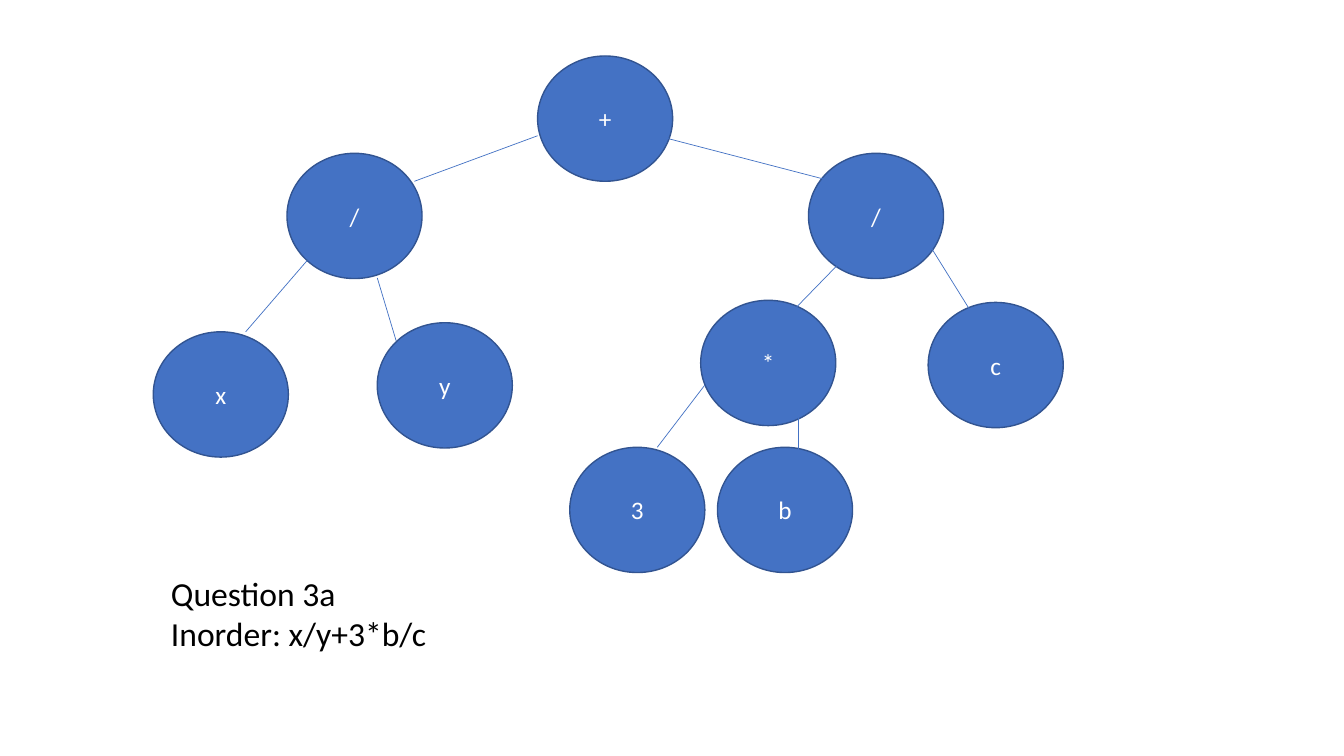
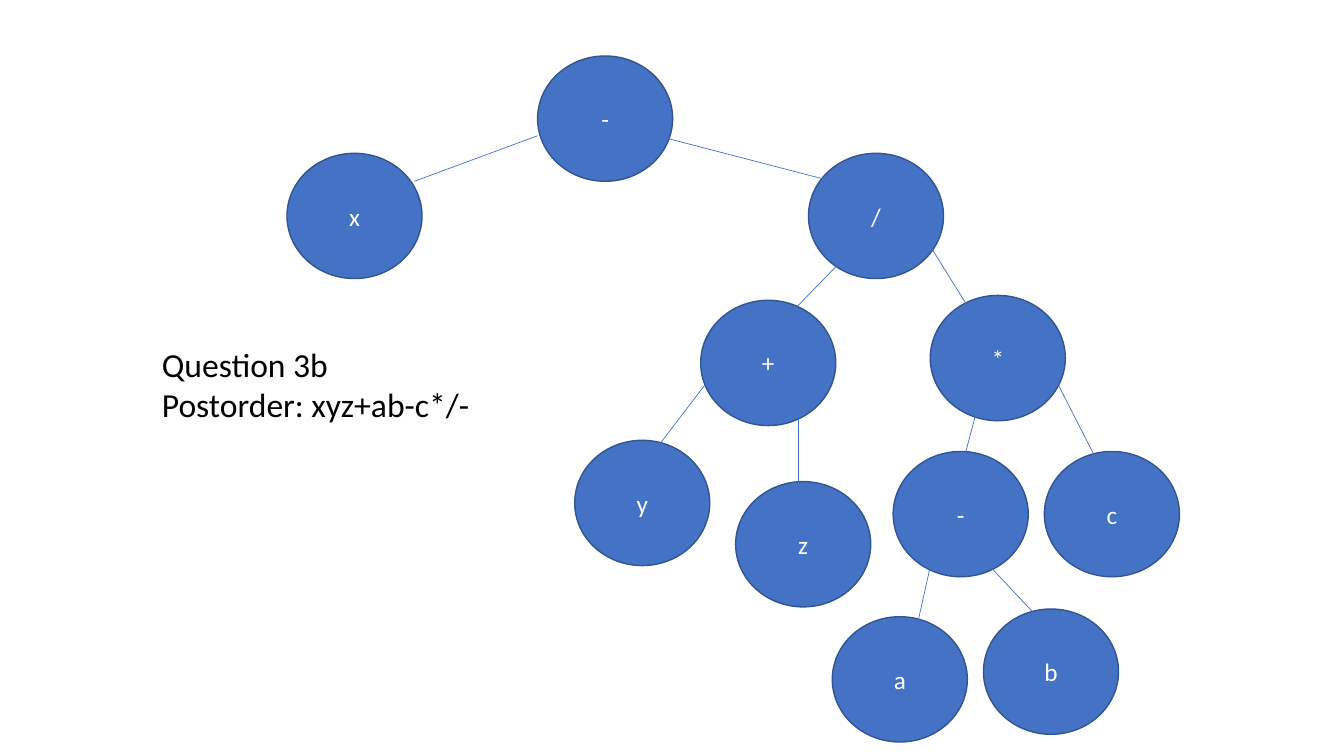
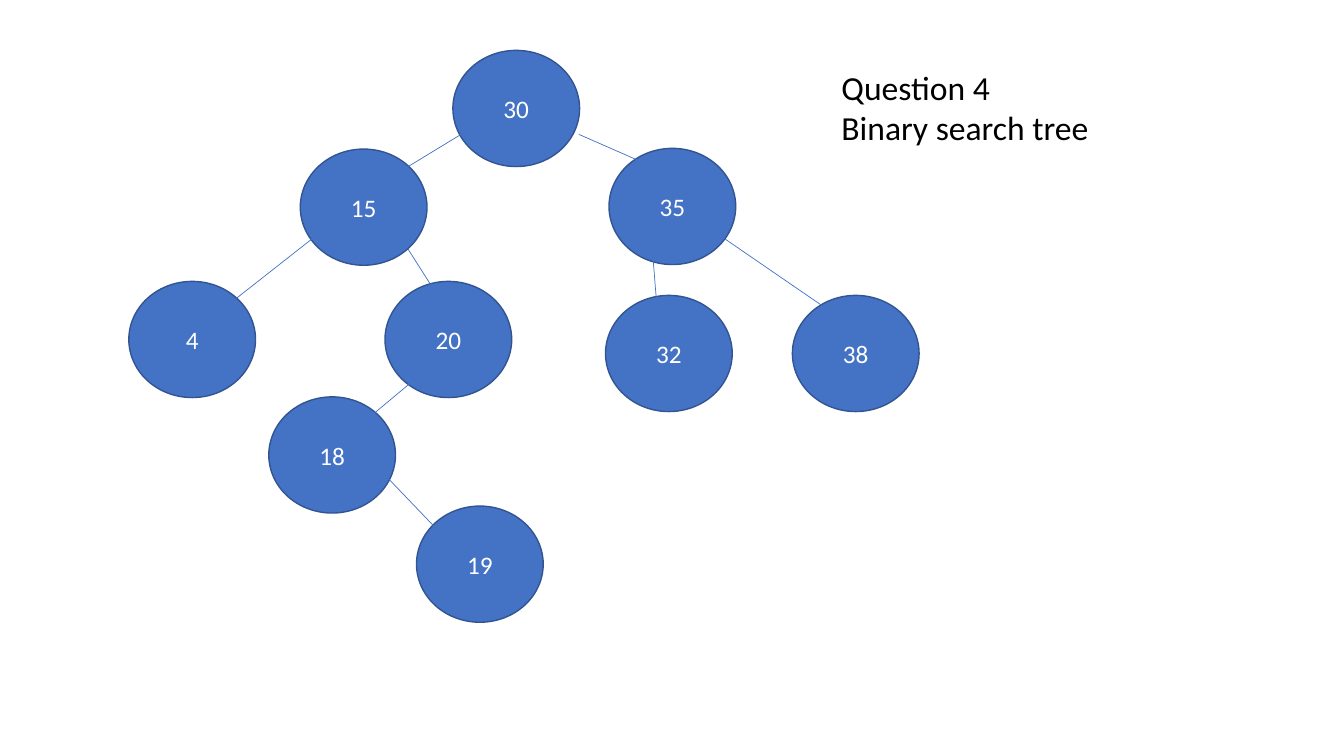
import pptx
import pptx.dml.color
import pptx.enum.shapes
import pptx.enum.text
import pptx.oxml
import pptx.oxml.ns
import pptx.util
import lxml.etree

Pt = pptx.util.Pt
FONT = "Calibri"
BLUE = "4472C4"
OUTLINE = "325491"
WHITE = "FFFFFF"
BLACK = "000000"


def color(text):
    return pptx.dml.color.RGBColor.from_string(text)


def style_paragraph(para, size, shade):
    para.font.name = FONT
    para.font.size = Pt(size)
    para.font.color.rgb = color(shade)


ROOT = (384, 40)
LEFT_CHILD = (205, 109.5)
RIGHT_CHILD = (577.5, 109.5)
INNER_CHILD = (500.5, 214.5)

EXPRESSION_LINKS = [
    (384, 97, 296, 129.5),
    (469.5, 97, 594.5, 129.5),
    (601, 186.5, 563, 225.5),
    (663, 173.5, 702.5, 237),
    (503.5, 275, 469.5, 319.5),
    (570, 297.5, 570, 348),
]

trees = [
    {
        "caption": ["Question 3a", "Inorder: x/y+3*b/c"],
        "caption_box": (115, 405.5, 250, 65.5),
        "node_size": (96.5, 89.5),
        "nodes": [
            ("+", ROOT), ("/", LEFT_CHILD), ("/", RIGHT_CHILD),
            ("x", (109.5, 237)), ("y", (269.5, 230.5)),
            ("*", INNER_CHILD), ("c", (663, 216)),
            ("3", (407, 319.5)), ("b", (512.5, 319.5)),
        ],
        "links": EXPRESSION_LINKS + [
            (219.5, 186, 175.5, 237),
            (269.5, 198.5, 283, 243.5),
        ],
        "arrows": [],
    },
    {
        "caption": ["Question 3b", "Postorder: xyz+ab-c*/-"],
        "caption_box": (108.5, 242, 250, 65.5),
        "node_size": (96.5, 89.5),
        "nodes": [
            ("-", ROOT), ("x", LEFT_CHILD), ("/", RIGHT_CHILD),
            ("+", INNER_CHILD), ("*", (664.5, 211)),
            ("y", (410.5, 314.5)), ("z", (525.5, 344)),
            ("-", (638, 322.5)), ("c", (746, 322.5)),
            ("a", (594.5, 440.5)), ("b", (702.5, 435)),
        ],
        "links": EXPRESSION_LINKS + [
            (697.5, 294, 686, 337.5),
            (756, 275, 782, 326),
            (664.5, 404.5, 654.5, 449.5),
            (707, 404.5, 756, 456.5),
        ],
        "arrows": [],
    },
    {
        "caption": ["Question 4", "Binary search tree"],
        "caption_box": (594, 44, 332, 65.5),
        "node_size": (90.5, 83),
        "nodes": [
            ("30", (323.5, 36)), ("15", (214.5, 106.5)), ("35", (435, 106)),
            ("4", (92, 201)), ("20", (275, 201)),
            ("32", (432.5, 211)), ("38", (566, 211)),
            ("18", (192, 283.5)), ("19", (297.5, 361.5)),
        ],
        "links": [
            (331, 95, 291.5, 119),
            (227.5, 167, 169, 213),
            (291.5, 178, 312.5, 211),
            (466, 178.5, 469.5, 222),
            (512.5, 167, 594, 223),
            (297.5, 270, 258.5, 302.5),
            (278, 342.5, 323.5, 390),
        ],
        "arrows": [(413.5, 96, 466, 119)],
    },
]

deck = pptx.Presentation()
deck.slide_width = Pt(960)
deck.slide_height = Pt(540)
blank_layout = deck.slide_layouts[6]

for tree in trees:
    page = deck.slides.add_slide(blank_layout)

    width, height = tree["node_size"]
    for label, (left, top) in tree["nodes"]:
        node = page.shapes.add_shape(
            pptx.enum.shapes.MSO_SHAPE.OVAL, Pt(left), Pt(top), Pt(width), Pt(height))
        node.shadow.inherit = False
        node.fill.solid()
        node.fill.fore_color.rgb = color(BLUE)
        node.line.color.rgb = color(OUTLINE)
        node.line.width = Pt(1)
        node.text_frame.vertical_anchor = pptx.enum.text.MSO_ANCHOR.MIDDLE
        para = node.text_frame.paragraphs[0]
        para.text = label
        para.alignment = pptx.enum.text.PP_ALIGN.CENTER
        style_paragraph(para, 18, WHITE)

    for ends in tree["links"] + tree["arrows"]:
        link = page.shapes.add_connector(
            pptx.enum.shapes.MSO_CONNECTOR.STRAIGHT, *[Pt(value) for value in ends])
        link.line.color.rgb = color(BLUE)
        link.line.width = Pt(0.5)
        if ends in tree["arrows"]:
            lxml.etree.SubElement(
                link.line._get_or_add_ln(), pptx.oxml.ns.qn("a:tailEnd"), type="triangle")
        lxml.etree.SubElement(link._element.spPr, pptx.oxml.ns.qn("a:effectLst"))

    box = page.shapes.add_textbox(*[Pt(value) for value in tree["caption_box"]])
    frame = box.text_frame
    frame.word_wrap = True
    frame.auto_size = pptx.enum.text.MSO_AUTO_SIZE.SHAPE_TO_FIT_TEXT
    frame.text = "\n".join(tree["caption"])
    for para in frame.paragraphs:
        style_paragraph(para, 24, BLACK)

deck.save("out.pptx")
